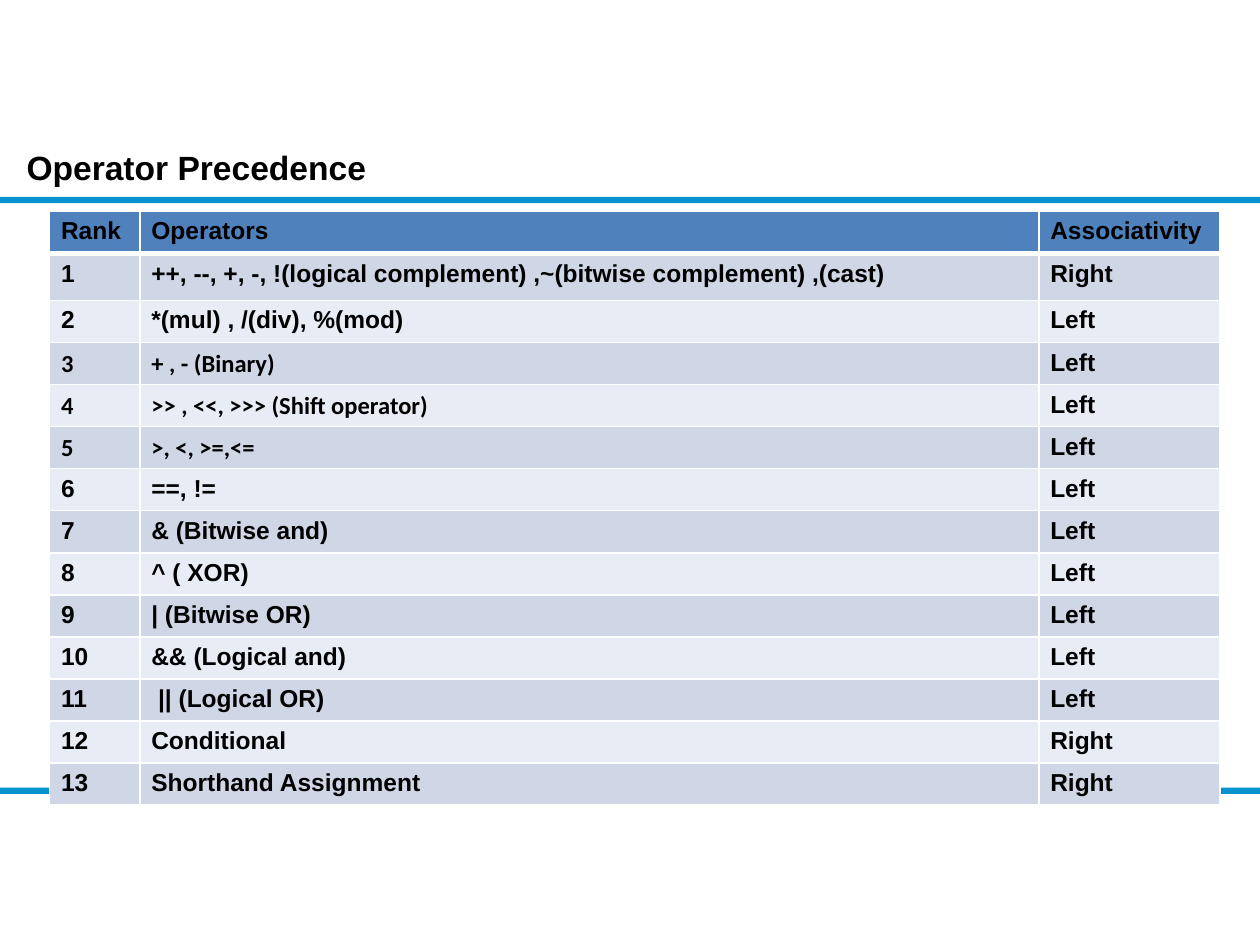
from dataclasses import dataclass

from lxml.etree import SubElement
from pptx import Presentation
from pptx.dml.color import RGBColor
from pptx.enum.shapes import MSO_SHAPE
from pptx.oxml.ns import qn
from pptx.util import Pt


@dataclass(frozen=True)
class Theme:
    text: str = "000000"
    bar: str = "0793CF"
    header: str = "4F81BD"
    bands: tuple = ("CFD7E7", "E8ECF4")
    border: str = "FFFFFF"
    font: str = "Arial"
    alt_font: str = "Calibri"
    title_size: float = 19.2
    cell_size: float = 14


HEADER = ("Rank", "Operators", "Associativity")
OPERATORS = [
    ("++, --, +, -, !(logical complement) ,~(bitwise complement) ,(cast)", "Right"),
    ("*(mul) , /(div), %(mod)", "Left"),
    ("+ , - (Binary)", "Left"),
    (">> , <<, >>> (Shift operator)", "Left"),
    (">, <, >=,<=", "Left"),
    ("==, !=", "Left"),
    ("& (Bitwise and)", "Left"),
    ("^ ( XOR)", "Left"),
    ("| (Bitwise OR)", "Left"),
    ("&& (Logical and)", "Left"),
    (" || (Logical OR)", "Left"),
    ("Conditional", "Right"),
    ("Shorthand Assignment", "Right"),
]
ALT_FONT_RANKS = (3, 4, 5)
COL_WIDTHS = (51.6, 513.7, 103.6)
ROW_HEIGHT = 23.6
FIRST_RANK_HEIGHT = 26.8


class Deck:
    def __init__(self, prs, theme):
        self.theme = theme
        self.s = prs.slides.add_slide(prs.slide_layouts[6])

    def style(self, p, size, font):
        p.font.size = Pt(size)
        p.font.name = font
        p.font.bold = True
        p.font.color.rgb = RGBColor.from_string(self.theme.text)

    def title(self, text, x, y, w, h):
        tf = self.s.shapes.add_textbox(Pt(x), Pt(y), Pt(w), Pt(h)).text_frame
        tf.word_wrap = True
        tf.margin_left = tf.margin_right = tf.margin_top = tf.margin_bottom = 0
        tf.text = text
        self.style(tf.paragraphs[0], self.theme.title_size, self.theme.font)

    def bar(self, x, y, w, h):
        sp = self.s.shapes.add_shape(MSO_SHAPE.RECTANGLE, Pt(x), Pt(y), Pt(w), Pt(h))
        sp.shadow.inherit = False
        sp.fill.solid()
        sp.fill.fore_color.rgb = RGBColor.from_string(self.theme.bar)
        sp.line.fill.background()

    def cell(self, cell, text, fill, font, top=1, bottom=1):
        cell.margin_left = cell.margin_right = Pt(6.6)
        cell.margin_top = cell.margin_bottom = Pt(3.6)
        cell.text = text
        self.style(cell.text_frame.paragraphs[0], self.theme.cell_size, font)
        tc_pr = cell._tc.get_or_add_tcPr()
        for side, width in (("L", 1), ("R", 1), ("T", top), ("B", bottom)):
            ln = SubElement(tc_pr, qn(f"a:ln{side}"), w=str(Pt(width)))
            SubElement(SubElement(ln, qn("a:solidFill")), qn("a:srgbClr"), val=self.theme.border)
        cell.fill.solid()
        cell.fill.fore_color.rgb = RGBColor.from_string(fill)

    def table(self, rows, x, y, widths, heights):
        t = self.theme
        table = self.s.shapes.add_table(
            len(rows), len(widths), Pt(x), Pt(y), Pt(sum(widths)), Pt(sum(heights))
        ).table
        for col, width in zip(table.columns, widths):
            col.width = Pt(width)
        for rank, (values, height) in enumerate(zip(rows, heights)):
            table.rows[rank].height = Pt(height)
            fill = t.bands[(rank - 1) % 2] if rank else t.header
            for c, value in enumerate(values):
                alt = rank in ALT_FONT_RANKS and c < 2
                self.cell(
                    table.cell(rank, c), value, fill, t.alt_font if alt else t.font,
                    top=3 if rank == 1 else 1, bottom=1 if rank else 3,
                )


def main():
    prs = Presentation()
    prs.slide_width, prs.slide_height = Pt(720), Pt(540)
    deck = Deck(prs, Theme())
    deck.title("Operator Precedence", 15.2, 84.2, 233, 23)
    for y in (450, 112.5):
        deck.bar(0, y, 720, 3.6)
    rows = [HEADER] + [(str(i), *op) for i, op in enumerate(OPERATORS, 1)]
    heights = [ROW_HEIGHT, FIRST_RANK_HEIGHT] + [ROW_HEIGHT] * (len(rows) - 2)
    deck.table(rows, 28.3, 120.8, COL_WIDTHS, heights)
    prs.save("out.pptx")


if __name__ == "__main__":
    main()
